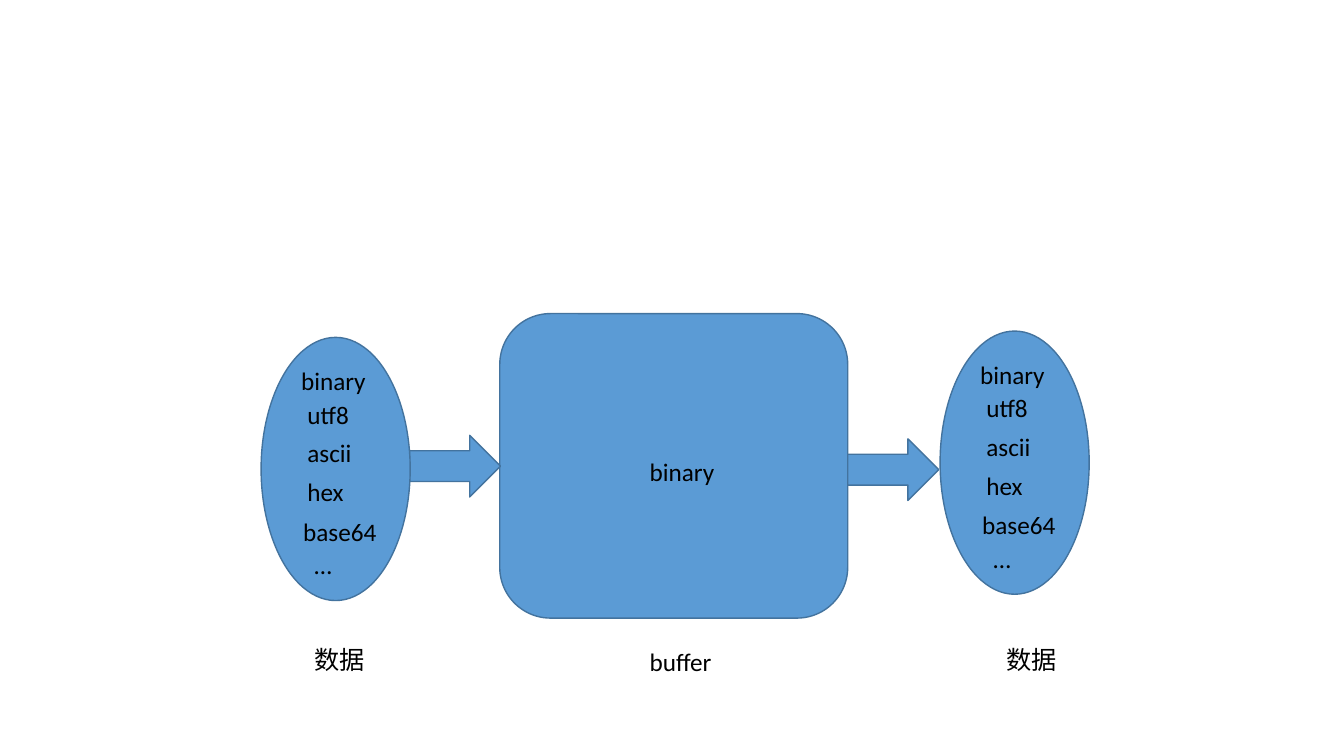
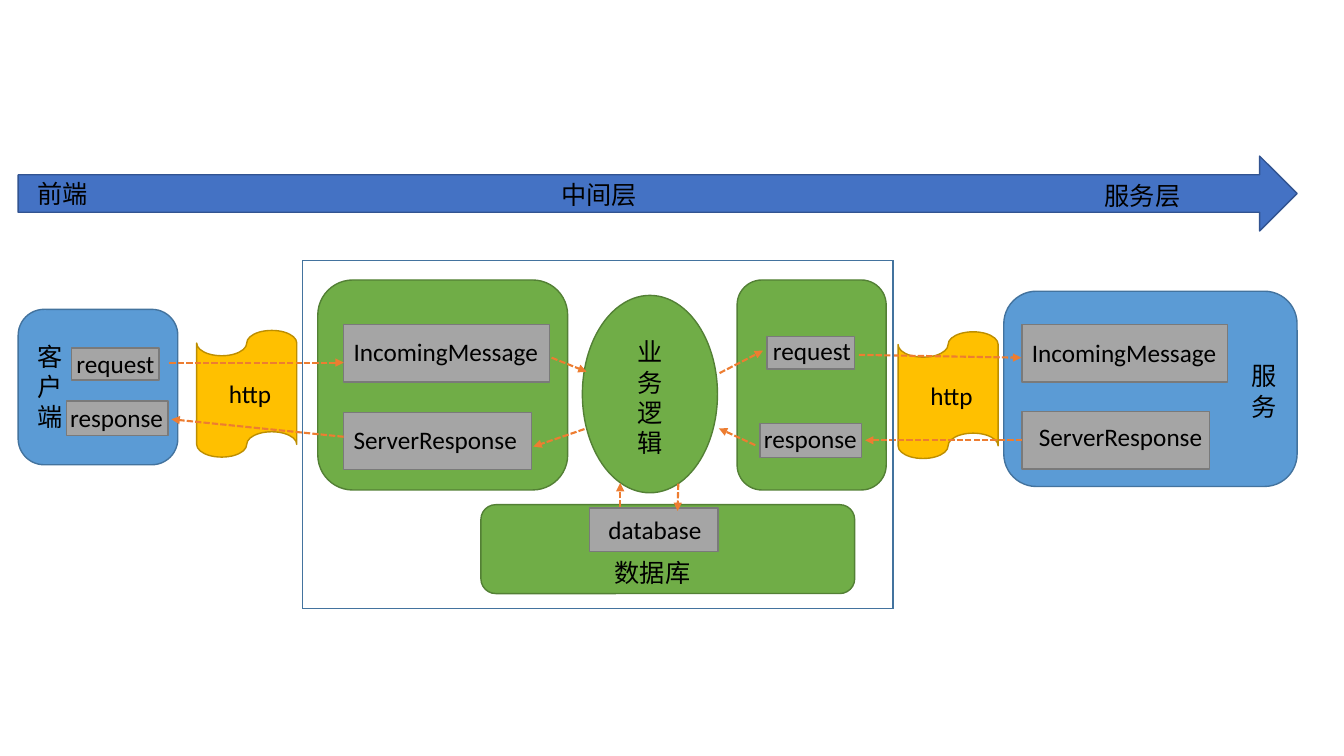
from dataclasses import dataclass

from lxml.etree import SubElement
from pptx import Presentation
from pptx.dml.color import RGBColor as RGB
from pptx.enum.dml import MSO_LINE
from pptx.enum.shapes import MSO_CONNECTOR, MSO_SHAPE as SHAPE
from pptx.enum.text import MSO_AUTO_SIZE
from pptx.oxml.ns import qn
from pptx.util import Pt


@dataclass(frozen=True)
class Theme:
    """Colours as (fill, line) pairs, type and line widths."""
    blue: tuple = ("5B9BD5", "43739E")
    green: tuple = ("70AD47", "538035")
    grey: tuple = ("A5A5A5", "7A7A7A")
    gold: tuple = ("FFC000", "BD8E00")
    navy: tuple = ("4472C4", "325491")
    flow: str = "ED7D31"
    ink: str = "000000"
    font: str = "Calibri"
    size: float = 18
    outline: float = 1
    flow_width: float = 1.5


T = Theme()


def add_box(s, kind, colours, x, y, w, h):
    """Add a filled, outlined preset shape and return it."""
    sp = s.shapes.add_shape(kind, Pt(x), Pt(y), Pt(w), Pt(h))
    sp.shadow.inherit = False
    fill, line = colours
    sp.fill.solid()
    sp.fill.fore_color.rgb = RGB.from_string(fill)
    sp.line.color.rgb = RGB.from_string(line)
    sp.line.width = Pt(T.outline)
    return sp


def add_label(s, text, x, y, w, h=29):
    """Add a wrapping text label that grows with its text."""
    tf = s.shapes.add_textbox(Pt(x), Pt(y), Pt(w), Pt(h)).text_frame
    tf.word_wrap = True
    tf.auto_size = MSO_AUTO_SIZE.SHAPE_TO_FIT_TEXT
    r = tf.paragraphs[0].add_run()
    r.text = text
    r.font.name = T.font
    r.font.size = Pt(T.size)
    r.font.color.rgb = RGB.from_string(T.ink)


prs = Presentation()
prs.slide_width, prs.slide_height = Pt(960), Pt(540)
blank = prs.slide_layouts[6]

# Slide 1: data goes through a buffer
s = prs.slides.add_slide(blank)
add_box(s, SHAPE.ROUNDED_RECTANGLE, T.blue, 357, 224, 248.5, 217.5)
add_label(s, "binary", 457, 322.5, 143.5)
add_label(s, "buffer", 457, 458, 108.5)

encodings = [
    ("binary", 21.5, 16.5), ("utf8", 26, 40.5), ("ascii", 26, 68),
    ("hex", 26, 96), ("base64", 23, 124), ("…", 31, 148),
]
for data_x, data_y, arrow_x, arrow_y, caption_x in [
    (186.5, 241, 292.5, 311, 217.5),
    (671.5, 236.5, 605.5, 313.5, 712),
]:
    add_box(s, SHAPE.RIGHT_ARROW, T.blue, arrow_x, arrow_y, 65, 44)
    add_box(s, SHAPE.OVAL, T.blue, data_x, data_y, 106.5, 188)
    for name, dx, dy in encodings:
        add_label(s, name, data_x + dx, data_y + dy, 71.5)
    add_label(s, "数据", caption_x, 456.5, 88.5)

# Slide 2: front end, middle layer and service layer
s = prs.slides.add_slide(blank)
for colours, x, y, w, h in [
    (T.blue, 13, 221, 114, 111),
    (T.blue, 717, 208, 209.5, 139.5),
    (T.green, 227, 200, 178.5, 150),
    (T.green, 526.5, 200, 106.5, 150),
    (T.green, 343.5, 360.5, 267, 63.5),
]:
    add_box(s, SHAPE.ROUNDED_RECTANGLE, colours, x, y, w, h)
add_box(s, SHAPE.OVAL, T.green, 416, 211, 96.5, 141)

# Each message: text, tile place and size, label offset and width
request = ("request", 62.5, 23, 73.5)
response = ("response", 72.5, 24.5, 90)
incoming = ("IncomingMessage", 147, 41, 155)
outgoing = ("ServerResponse", 134, 41, 155)
database = ("database", 92, 31, 90)
for (text, w, h, label_w), x, y, dx, dy in [
    (request, 51, 248.5, -3.5, -3.5),
    (response, 47.5, 286.5, -4.5, -3),
    (incoming, 245.5, 232, 0, 5),
    (outgoing, 245.5, 294.5, 0, 5),
    (incoming, 730, 232, 0, 5.5),
    (outgoing, 730, 294, 5, 3.5),
    (request, 548, 240.5, -3, -4.5),
    (response, 543, 302.5, -4.5, -3.5),
    (database, 421, 363, 6.5, 0.5),
]:
    add_box(s, SHAPE.RECTANGLE, T.grey, x, y, w, h)
    add_label(s, text, x + dx, y + dy, label_w)

for x, y in [(140.5, 236), (641.5, 237)]:
    add_box(s, SHAPE.FLOWCHART_PUNCHED_TAPE, T.gold, x, y, 71.5, 90.5)
    add_label(s, "http", x + 16, y + 31, 52.5)

for x1, y1, x2, y2 in [
    (514, 266.5, 545, 250.5),
    (394, 255.5, 419, 265.5),
    (539.5, 318, 513.5, 306),
    (417.5, 306.5, 381, 319),
    (484.5, 345.5, 484, 365),
    (443, 362, 443, 345),
    (613.5, 253.5, 729.5, 255.5),
    (730, 314.5, 618, 314.5),
    (121, 259, 245.5, 259),
    (245.5, 312, 122.5, 299.5),
]:
    flow = s.shapes.add_connector(
        MSO_CONNECTOR.STRAIGHT, Pt(x1), Pt(y1), Pt(x2), Pt(y2))
    flow.line.color.rgb = RGB.from_string(T.flow)
    flow.line.width = Pt(T.flow_width)
    flow.line.dash_style = MSO_LINE.SQUARE_DOT
    props = flow.element.spPr
    SubElement(props.find(qn("a:ln")), qn("a:tailEnd"), type="triangle")
    SubElement(props, qn("a:effectLst"))

middle_frame = add_box(s, SHAPE.FRAME, T.blue, 216, 186, 422, 248.5)
middle_frame.adjustments[0] = 0
add_box(s, SHAPE.RIGHT_ARROW, T.navy, 13, 111.5, 913.5, 53.5)

for text, x, y, w, h in [
    ("前端", 19.5, 124, 55.5, 29),
    ("中间层", 394, 124.5, 79, 29),
    ("服务层", 782, 125.5, 79, 29),
    ("客户端", 19.5, 240, 35, 73),
    ("业务逻辑", 448.5, 237, 35, 94.5),
    ("服务", 886.5, 254, 35, 51),
    ("数据库", 432, 394.5, 76.5, 29),
]:
    add_label(s, text, x, y, w, h)

prs.save("out.pptx")
